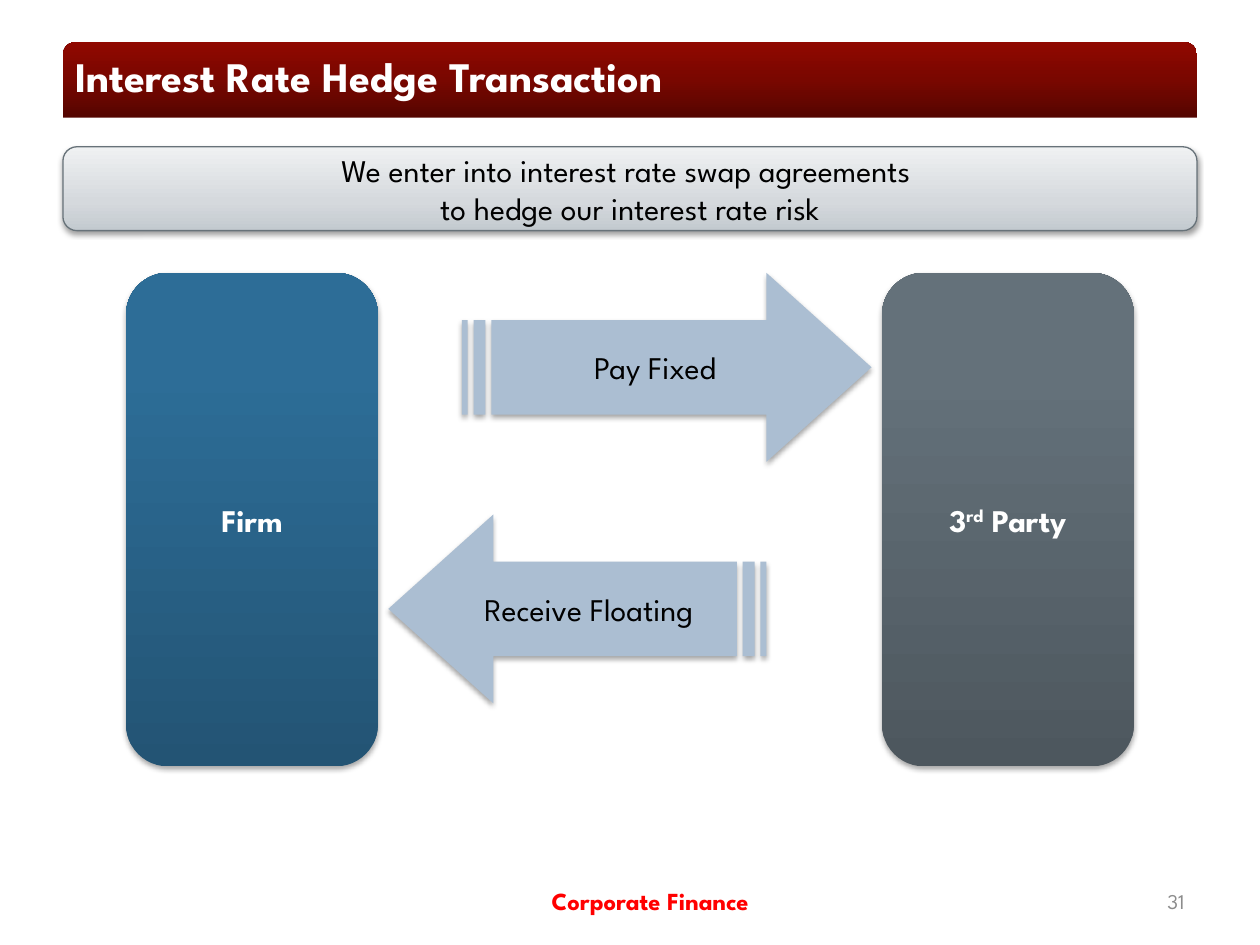
from lxml.etree import SubElement
from pptx import Presentation
from pptx.dml.color import RGBColor
from pptx.enum.shapes import MSO_SHAPE as Form
from pptx.enum.text import MSO_ANCHOR as Anchor, PP_ALIGN as Align
from pptx.oxml.ns import qn
from pptx.util import Cm, Pt

HUES = {
    "white": "FFFFFF", "black": "000000", "red": "FF0000", "grey": "8C8C8C",
    "arrow": "ABBED2", "edge": "677279",
}
FADES = {  # stops run from the bottom edge to the top
    "title": [(0, "550500"), (50, "790700"), (100, "900800")],
    "blue": [(0, "235474"), (80, "2D6D97"), (100, "2B6E9A")],
    "slate": [(0, "4D575E"), (80, "64717A"), (100, "64717B")],
    "silver": [(0, "C3CACF"), (35, "D5D9DD"), (100, "EFF1F2")],
}


def add_form(form, box, fill, shade=0, dist=1.8):
    """Add a shape with a plain or graded fill; shade is the shadow's opacity in percent."""
    shape = slide.shapes.add_shape(form, *map(Cm, box))
    shape.line.fill.background()
    if fill in FADES:
        shape.fill.gradient()
        shape.fill.gradient_angle = 90
        stops = shape._element.spPr.find(".//" + qn("a:gsLst"))
        stops.clear()
        for pos, hue in FADES[fill]:
            stop = SubElement(stops, qn("a:gs"), pos=str(pos * 1000))
            SubElement(stop, qn("a:srgbClr"), val=hue)
    else:
        shape.fill.solid()
        shape.fill.fore_color.rgb = RGBColor.from_string(HUES[fill])
    shape.shadow.inherit = False
    if shade:
        glow = SubElement(
            shape._element.spPr.find(qn("a:effectLst")), qn("a:outerShdw"),
            blurRad=str(Pt(3.1)), dist=str(Pt(dist)), dir="5400000", rotWithShape="0")
        tint = SubElement(glow, qn("a:srgbClr"), val=HUES["black"])
        SubElement(tint, qn("a:alpha"), val=str(shade * 1000))
    return shape


def set_text(shape, parts, size, hue, bold=False, align=Align.CENTER):
    """Write runs into a shape; every second one is superscript."""
    frame = shape.text_frame
    frame.word_wrap = True
    frame.vertical_anchor = Anchor.MIDDLE
    para = frame.paragraphs[0]
    para.alignment = align
    font = para.font
    font.name, font.size, font.bold = "League Spartan", Pt(size), bold
    font.color.rgb = RGBColor.from_string(HUES[hue])
    for i, part in enumerate(parts):
        for j, line in enumerate(part.split("\n")):
            if j:
                para.add_line_break()
            run = para.add_run()
            run.text = line
            if i % 2:
                run.font._element.set("baseline", "30000")


deck = Presentation()
deck.slide_width, deck.slide_height = Cm(25.4), Cm(19.05)
slide = deck.slides.add_slide(deck.slide_layouts[6])

# Title bar, footer and page number
add_form(Form.ROUND_2_SAME_RECTANGLE, (1.27, 0.85, 22.86, 1.52), "title")
for box, text, size, hue, bold, align in [
    ((6.76, 17.65, 12.7, 1.02), "Corporate Finance", 14, "red", True, Align.CENTER),
    ((1.27, 0.76, 22.86, 1.52), "Interest Rate Hedge Transaction", 24, "white", True, Align.LEFT),
    ((18.2, 17.65, 5.93, 1.02), "31", 12, "grey", False, Align.RIGHT),
]:
    label = slide.shapes.add_textbox(*map(Cm, box))
    set_text(label, [text], size, hue, bold, align)

# The two parties
for left, fill, parts in [
    (2.54, "blue", ["Firm"]),
    (17.78, "slate", ["3", "rd", " Party"]),
]:
    party = add_form(Form.ROUNDED_RECTANGLE, (left, 5.5, 5.08, 9.95), fill, 35)
    set_text(party, parts, 18, "white", True)

# Payments between them
for left, top, width, text, back in [
    (9.31, 5.5, 8.26, "Pay Fixed", False),
    (7.83, 10.37, 7.62, "Receive Floating", True),
]:
    arrow = add_form(Form.STRIPED_RIGHT_ARROW, (left, top, width, 3.81), "arrow", 35)
    arrow.adjustments[1] = 0.556
    if back:
        arrow._element.spPr.xfrm.set("flipH", "1")
    set_text(arrow, [text], 18, "black")

# Key message
banner = add_form(Form.ROUNDED_RECTANGLE, (1.27, 2.96, 22.86, 1.69), "silver", 38, 1.6)
banner.line.color.rgb = RGBColor.from_string(HUES["edge"])
banner.line.width = Pt(0.75)
set_text(banner, ["We enter into interest rate swap agreements \nto hedge our interest rate risk"],
         18, "black")

deck.save("out.pptx")
